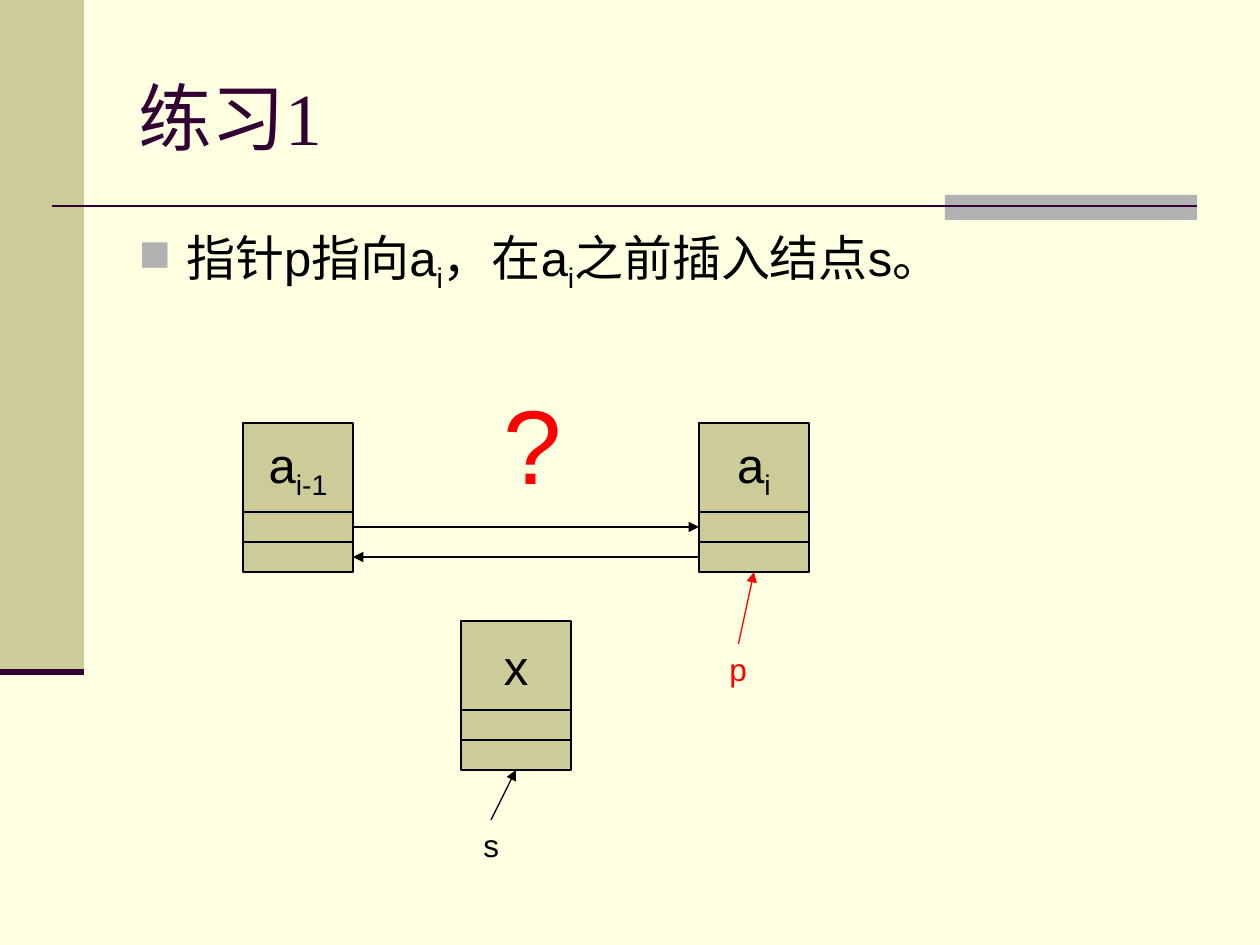
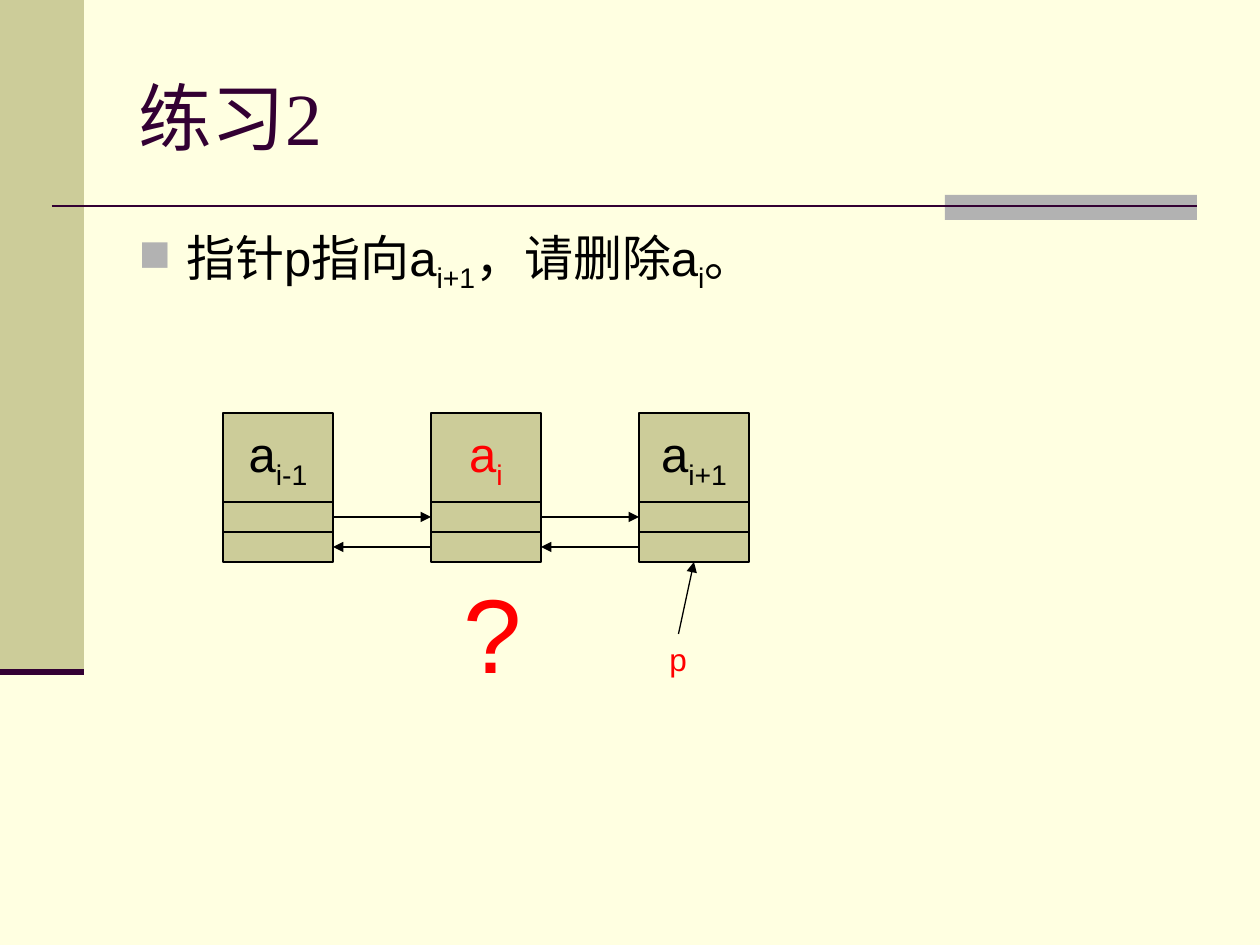
"""Two linked-list exercise slides: insert before a node, delete a node."""
from lxml import etree
from pptx import Presentation
from pptx.dml.color import RGBColor
from pptx.enum.shapes import MSO_CONNECTOR, MSO_SHAPE
from pptx.enum.text import MSO_ANCHOR, MSO_AUTO_SIZE, PP_ALIGN
from pptx.oxml.ns import qn
from pptx.util import Pt

RECT = MSO_SHAPE.RECTANGLE
STRAIGHT = MSO_CONNECTOR.STRAIGHT
MIDDLE = MSO_ANCHOR.MIDDLE
CENTER = PP_ALIGN.CENTER
GROW = MSO_AUTO_SIZE.SHAPE_TO_FIT_TEXT
TOP, LEFT, BOTTOM, RIGHT = range(4)

PX = 7257
CREAM, KHAKI, GREY, PLUM = "FFFFE1", "CCCC99", "B2B2B2", "330033"
BLACK, RED = "000000", "FF0000"
rgb = RGBColor.from_string

NODE_W = 110
CELL_HEIGHTS = (89, 30, 30)
BANDS = [(0, 0, 84, 672, KHAKI), (945, 195, 252, 25, GREY)]
RULES = [(52, 206, 1197, 206, 1.5), (0, 672, 84, 672, 3.5)]

SLIDES = [
    {
        "title": "练习1",
        "task": "指针p指向a|i|，在a|i|之前插入结点s。",
        "nodes": [(243, 423, "a|i-1", BLACK), (699, 423, "a|i", BLACK), (461, 621, "x", BLACK)],
        "links": [(0, 1)],
        "pointers": [("p", 717, 644, 43, RED, RED, 1), ("s", 471, 820, 40, BLACK, BLACK, 2)],
        "question": (491, 373),
    },
    {
        "title": "练习2",
        "task": "指针p指向a|i+1|，请删除a|i|。",
        "nodes": [
            (223 + 208 * i, 413, text, color)
            for i, (text, color) in enumerate([("a|i-1", BLACK), ("a|i", RED), ("a|i+1", BLACK)])
        ],
        "links": [(0, 1), (1, 2)],
        "pointers": [("p", 657, 634, 43, RED, BLACK, 2)],
        "question": (451, 562),
    },
]


def write(tf, text, size, color, font="Arial"):
    """Fill the first paragraph; every second piece between bars is a subscript."""
    p = tf.paragraphs[0]
    for i, piece in enumerate(text.split("|")):
        r = p.add_run()
        r.text = piece
        if i % 2:
            r.font._element.set("baseline", "-25000")
    p.font.size = Pt(size)
    p.font.name = font
    p.font.color.rgb = rgb(color)
    return p


def add_line(s, x1, y1, x2, y2, color, width):
    """Draw a straight connector without a shadow."""
    line = s.shapes.add_connector(STRAIGHT, x1 * PX, y1 * PX, x2 * PX, y2 * PX)
    line.line.color.rgb = rgb(color)
    line.line.width = Pt(width)
    etree.SubElement(line._element.spPr, qn("a:effectLst"))
    return line


prs = Presentation()
prs.slide_width, prs.slide_height = 1260 * PX, 945 * PX

for data in SLIDES:
    s = prs.slides.add_slide(prs.slide_layouts[6])
    s.background.fill.solid()
    s.background.fill.fore_color.rgb = rgb(CREAM)

    for x, y, w, h, color in BANDS:
        sp = s.shapes.add_shape(RECT, x * PX, y * PX, w * PX, h * PX)
        sp.shadow.inherit = False
        sp.fill.solid()
        sp.fill.fore_color.rgb = rgb(color)
        sp.line.fill.background()
    for x1, y1, x2, y2, width in RULES:
        add_line(s, x1, y1, x2, y2, PLUM, width)

    tf = s.shapes.add_textbox(126 * PX, 38 * PX, 1071 * PX, 157 * PX).text_frame
    tf.word_wrap = True
    tf.vertical_anchor = MIDDLE
    write(tf, data["title"], 42, PLUM, "Times New Roman")

    tf = s.shapes.add_textbox(126 * PX, 221 * PX, 1071 * PX, 624 * PX).text_frame
    tf.word_wrap = True
    p = write(tf, data["task"], 28, BLACK)
    p.space_before = Pt(7)
    pPr = p._p.get_or_add_pPr()
    pPr.set("marL", str(48 * PX))
    pPr.set("indent", str(-48 * PX))
    bullet = [etree.Element(qn(tag)) for tag in ("a:buClr", "a:buSzPct", "a:buChar")]
    etree.SubElement(bullet[0], qn("a:srgbClr")).set("val", GREY)
    bullet[1].set("val", "90000")
    bullet[2].set("char", "■")
    spacing = pPr.find(qn("a:spcBef"))
    for tag in reversed(bullet):
        spacing.addnext(tag)

    nodes = []
    for x, y, text, color in data["nodes"]:
        cells = []
        for h in CELL_HEIGHTS:
            sp = s.shapes.add_shape(RECT, x * PX, y * PX, NODE_W * PX, h * PX)
            sp.shadow.inherit = False
            sp.fill.solid()
            sp.fill.fore_color.rgb = rgb(KHAKI)
            sp.line.color.rgb = rgb(BLACK)
            sp.line.width = Pt(0.75)
            cells.append(sp)
            y += h
        tf = cells[0].text_frame
        tf.word_wrap = False
        tf.vertical_anchor = MIDDLE
        write(tf, text, 28, color).alignment = CENTER
        nodes.append(cells)

    arrows = []
    for a, b in data["links"]:
        arrows.append((nodes[a][1], RIGHT, nodes[b][1], LEFT, BLACK))
        arrows.append((nodes[b][2], LEFT, nodes[a][2], RIGHT, BLACK))

    for text, x, y, w, color, arrow_color, target in data["pointers"]:
        label = s.shapes.add_textbox(x * PX, y * PX, w * PX, 50 * PX)
        label.text_frame.word_wrap = False
        label.text_frame.auto_size = GROW
        write(label.text_frame, text, 18, color)
        arrows.append((label, TOP, nodes[target][2], BOTTOM, arrow_color))

    for start, start_side, end, end_side, color in arrows:
        arrow = add_line(s, 0, 0, 0, 0, color, 0.75)
        arrow.begin_connect(start, start_side)
        arrow.end_connect(end, end_side)
        etree.SubElement(arrow.line._get_or_add_ln(), qn("a:tailEnd")).set("type", "triangle")

    x, y = data["question"]
    tf = s.shapes.add_textbox(x * PX, y * PX, 69 * PX, 139 * PX).text_frame
    tf.word_wrap = True
    tf.auto_size = GROW
    write(tf, "?", 60, RED).space_before = Pt(37.5)

prs.save("out.pptx")
